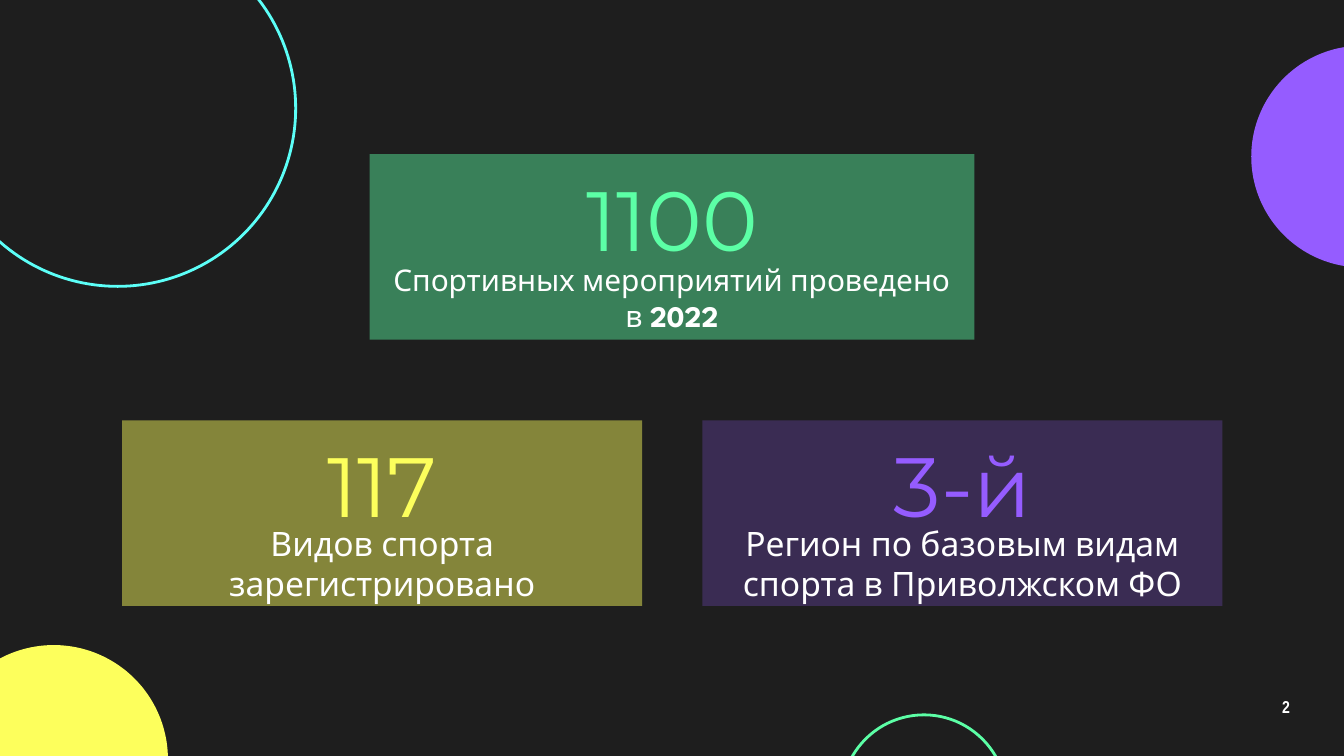
import pptx
import pptx.util
import pptx.dml.color
import pptx.enum.shapes
import pptx.enum.text
import pptx.oxml
import pptx.oxml.ns

Pt = pptx.util.Pt

THEME = {
    "background": "1E1E1E", "text": "FFFFFF", "green": "5CFFA6",
    "yellow": "FDFF5C", "purple": "955CFF", "cyan": "5CFFF8",
    "number font": "Montserrat", "label font": "League Spartan",
    "page font": "Arial Narrow", "number size": 45, "page size": 9.2,
    "outline": 1.5, "inset": 7.2,
}
SLIDE_SIZE = (720, 405)
CARD_HEIGHT = 99.4
LABEL_OFFSET, LABEL_HEIGHT = 61.5, 30.2

CIRCLES = [
    {"at": (670.3, 24.5), "diameter": 118.8, "color": "purple", "filled": True},
    {"at": (-32.4, 345.6), "diameter": 122.4, "color": "yellow", "filled": True},
    {"at": (450.7, 383), "diameter": 88.6, "color": "green", "filled": False},
    {"at": (-32.4, -37.4), "diameter": 190.8, "color": "cyan", "filled": False},
]
CARDS = [
    {"number": "1100", "label": [("Спортивных мероприятий проведено в ", False), ("2022", True)],
     "at": (198, 82.6), "width": 324, "label_extra": 0, "size": 16,
     "color": "green", "opacity": 44, "title": True},
    {"number": "117", "label": [("Видов спорта зарегистрировано", False)],
     "at": (65.5, 225.2), "width": 278.6, "label_extra": 0, "size": 18,
     "color": "yellow", "opacity": 46, "title": False},
    {"number": "3-й", "label": [("Регион по базовым видам спорта в Приволжском ФО", False)],
     "at": (376.3, 225.2), "width": 278.6, "label_extra": 2.5, "size": 18,
     "color": "purple", "opacity": 24, "title": False},
]
PAGE = {"text": "2", "box": (667.4, 367.2, 43.2, 24.5)}


def color(name):
    return pptx.dml.color.RGBColor.from_string(THEME[name])


def place(shape, box):
    shape.left, shape.top, shape.width, shape.height = (Pt(value) for value in box)


def write(shape, runs, font, size, color_name, anchor):
    frame = shape.text_frame
    frame.word_wrap = True
    frame.auto_size = pptx.enum.text.MSO_AUTO_SIZE.NONE
    frame.vertical_anchor = anchor
    frame.margin_left = frame.margin_right = Pt(THEME["inset"])
    frame.margin_top = frame.margin_bottom = Pt(THEME["inset"])
    paragraph = frame.paragraphs[0]
    paragraph.alignment = pptx.enum.text.PP_ALIGN.CENTER
    paragraph.font.name = THEME[font]
    paragraph.font.size = Pt(size)
    paragraph.font.color.rgb = color(color_name)
    for text, bold in runs:
        run = paragraph.add_run()
        run.text = text
        if bold:
            run.font.bold = True
    return paragraph


def add_circle(slide, circle):
    shape = slide.shapes.add_shape(
        pptx.enum.shapes.MSO_SHAPE.OVAL,
        *(Pt(value) for value in (*circle["at"], circle["diameter"], circle["diameter"])))
    shape.shadow.inherit = False
    if circle["filled"]:
        shape.fill.solid()
        shape.fill.fore_color.rgb = color(circle["color"])
        shape.line.fill.background()
    else:
        shape.fill.background()
        shape.line.color.rgb = color(circle["color"])
        shape.line.width = Pt(THEME["outline"])


def add_card(slide, card):
    left, top = card["at"]
    box = (left, top, card["width"], CARD_HEIGHT)
    if card["title"]:
        shape = slide.shapes.title
        place(shape, box)
    else:
        shape = slide.shapes.add_shape(
            pptx.enum.shapes.MSO_SHAPE.RECTANGLE, *(Pt(value) for value in box))
        shape.shadow.inherit = False
    shape.fill.solid()
    shape.fill.fore_color.rgb = color(card["color"])
    shape.line.fill.background()
    fill_color = shape.fill._xPr.find(".//" + pptx.oxml.ns.qn("a:srgbClr"))
    alpha = fill_color.makeelement(
        pptx.oxml.ns.qn("a:alpha"), {"val": str(card["opacity"] * 1000)})
    fill_color.append(alpha)
    write(shape, [(card["number"], False)], "number font", THEME["number size"],
          card["color"], pptx.enum.text.MSO_ANCHOR.TOP)

    extra = card["label_extra"]
    label_box = (left - extra, top + LABEL_OFFSET, card["width"] + 2 * extra, LABEL_HEIGHT)
    label = slide.shapes.add_textbox(*(Pt(value) for value in label_box))
    write(label, card["label"], "label font", card["size"], "text",
          pptx.enum.text.MSO_ANCHOR.MIDDLE)


def add_page_number(slide):
    shape = slide.shapes.add_textbox(*(Pt(value) for value in PAGE["box"]))
    paragraph = write(shape, [(PAGE["text"], True)], "page font", THEME["page size"],
                      "text", pptx.enum.text.MSO_ANCHOR.MIDDLE)
    paragraph.line_spacing = 0.9


def main():
    presentation = pptx.Presentation()
    presentation.slide_width, presentation.slide_height = (Pt(value) for value in SLIDE_SIZE)
    slide = presentation.slides.add_slide(presentation.slide_layouts[5])
    slide.background.fill.solid()
    slide.background.fill.fore_color.rgb = color("background")
    for circle in CIRCLES:
        add_circle(slide, circle)
    for card in CARDS:
        add_card(slide, card)
    add_page_number(slide)
    presentation.save("out.pptx")


if __name__ == "__main__":
    main()
